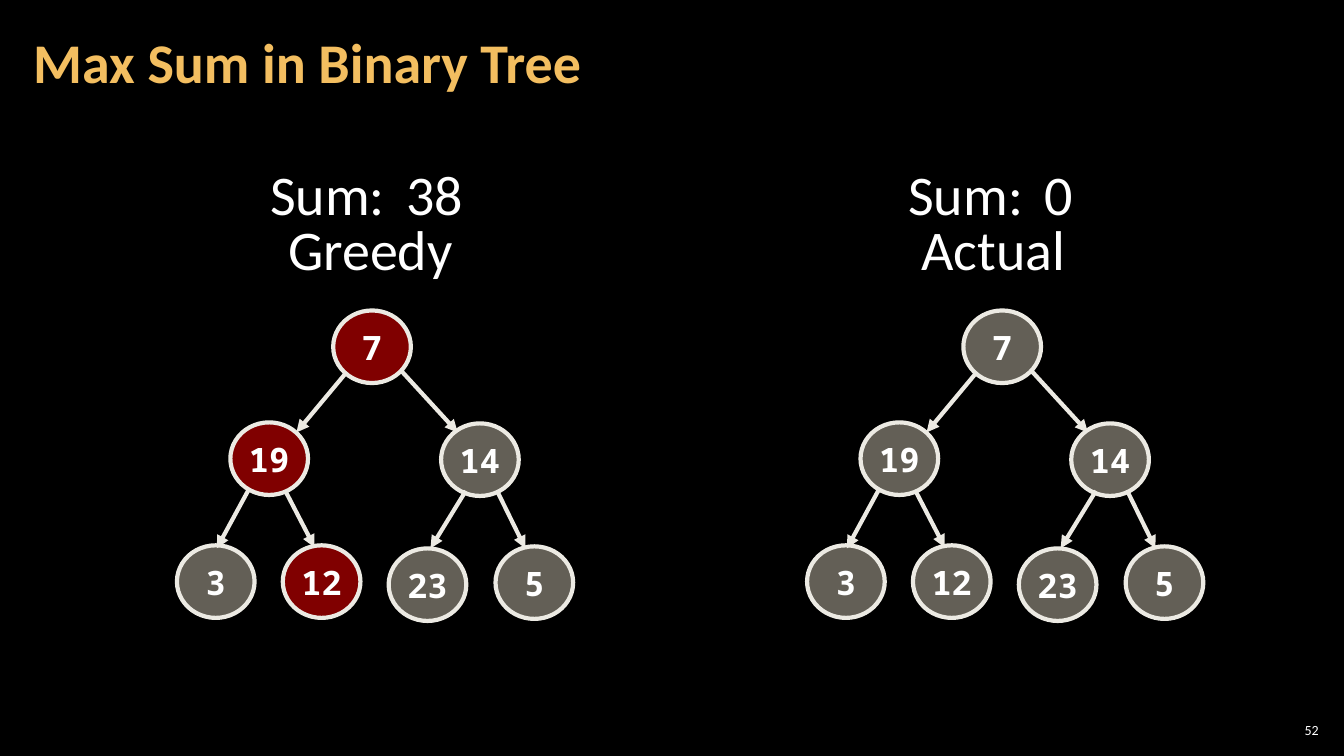
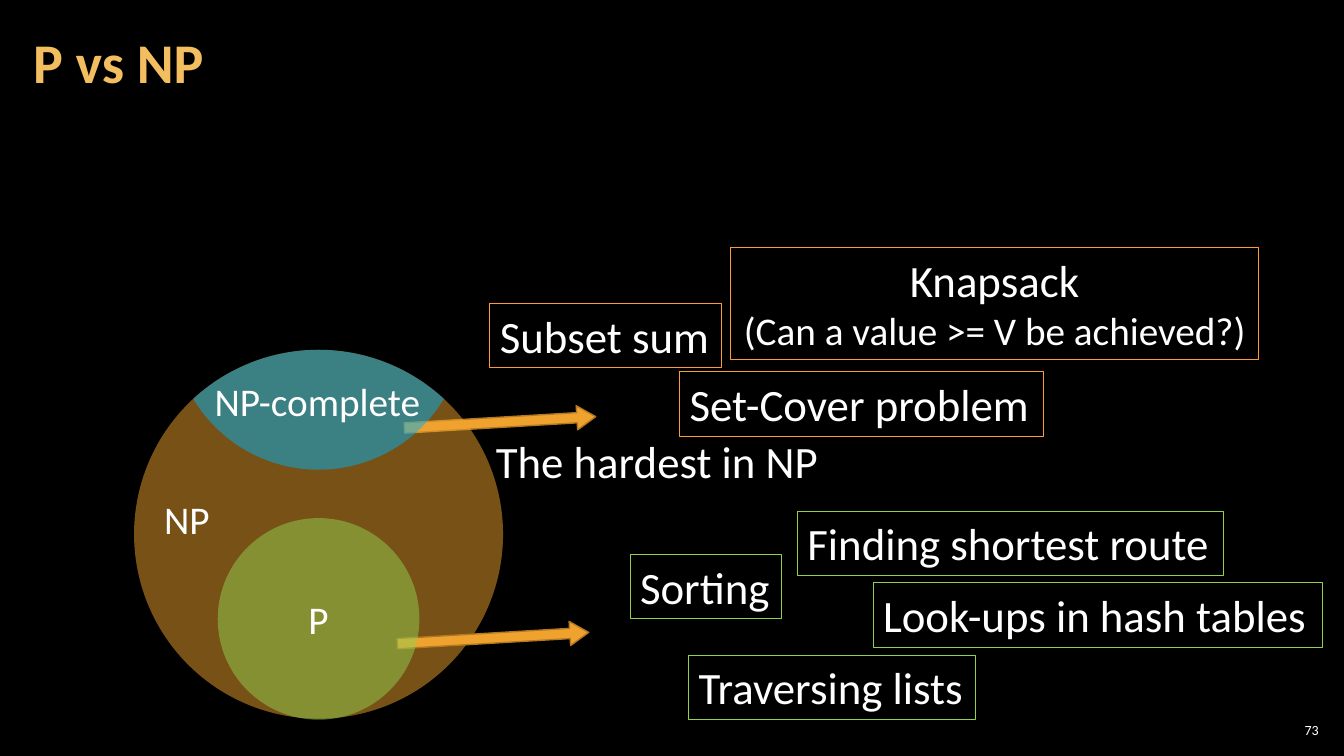
import math

import pptx
import pptx.dml.color
import pptx.enum.shapes
import pptx.enum.text
import pptx.oxml
import pptx.oxml.ns
import pptx.util

Inches = pptx.util.Inches
Pt = pptx.util.Pt
SHAPE = pptx.enum.shapes.MSO_SHAPE
ALIGN = pptx.enum.text.PP_ALIGN
ANCHOR = pptx.enum.text.MSO_ANCHOR
AUTO = pptx.enum.text.MSO_AUTO_SIZE
qn = pptx.oxml.ns.qn

COLORS = {
    "bg": "000000", "text": "FFFFFF", "title": "F3BE60",
    "node": "C7BFAC", "chosen": "FF0000", "edge": "ECEAE3",
    "orange": "F0A22E", "arrow_line": "B27822",
    "green": "92D050", "blue": "00B0F0", "hard": "FF9933",
}


def rgb(name):
    return pptx.dml.color.RGBColor.from_string(COLORS[name])


class Deck:
    """Holds the shared style and the current slide."""

    font = "Calibri"
    mono = "Noto Sans Mono"

    def __init__(self):
        self.prs = pptx.Presentation()
        self.prs.slide_width = Inches(13.33)
        self.prs.slide_height = Inches(7.5)

    def slide(self, title, number):
        self.s = self.prs.slides.add_slide(self.prs.slide_layouts[6])
        self.s.background.fill.solid()
        self.s.background.fill.fore_color.rgb = rgb("bg")
        self.bar_text(title, (0.21, 0.04, 10.47, 1.21), 40, "title", 0.12, bold=True)
        self.bar_text(number, (12.65, 7.14, 0.47, 0.21), 10, "text", 0.04,
                      align=ALIGN.RIGHT)

    def bar_text(self, text, box, size, color, inset, align=ALIGN.LEFT, bold=False):
        """Title or slide number, centred vertically with its own insets."""
        sp = self.s.shapes.add_textbox(*map(Inches, box))
        tf = sp.text_frame
        tf.margin_left = tf.margin_right = Inches(inset)
        tf.margin_top = tf.margin_bottom = Inches(0.04)
        self.set_text(tf, text, [size], color, align, ANCHOR.MIDDLE, bold=bold, wrap=True)
        tf.paragraphs[0].line_spacing = 0.9 if bold else 1.0

    def set_text(self, tf, text, sizes, color="text", align=ALIGN.LEFT,
                 anchor=ANCHOR.TOP, font=None, bold=False, wrap=False):
        tf.text = text
        tf.word_wrap = wrap
        tf.vertical_anchor = anchor
        for p, size in zip(tf.paragraphs, sizes):
            p.alignment = align
            for r in p.runs:
                r.font.name = font or self.font
                r.font.size = Pt(size)
                r.font.bold = bold
                r.font.color.rgb = rgb(color)

    def label(self, text, x, y, w, h, size):
        sp = self.s.shapes.add_textbox(*map(Inches, (x, y, w, h)))
        self.set_text(sp.text_frame, text, [size])
        sp.text_frame.auto_size = AUTO.SHAPE_TO_FIT_TEXT

    def paint(self, sp, fill=None, line=None, width=1, alpha=None):
        sp.shadow.inherit = False
        if fill:
            sp.fill.solid()
            sp.fill.fore_color.rgb = rgb(fill)
        else:
            sp.fill.background()
        if alpha:
            clr = sp._element.spPr.find(qn("a:solidFill"))[0]
            clr.append(clr.makeelement(qn("a:alpha"), {"val": str(alpha * 1000)}))
        if line:
            sp.line.color.rgb = rgb(line)
            sp.line.width = Pt(width)
        else:
            sp.line.fill.background()

    def shape(self, kind, x, y, w, h, **style):
        sp = self.s.shapes.add_shape(kind, *map(Inches, (x, y, w, h)))
        self.paint(sp, **style)
        return sp

    def frame(self, text, x, y, w, color, h=0.64, sizes=(32,), align=ALIGN.LEFT):
        """Outlined box with an example problem."""
        sp = self.shape(SHAPE.RECTANGLE, x, y, w, h, line=color, width=0.75)
        self.set_text(sp.text_frame, text, sizes, align=align)
        sp.text_frame.auto_size = AUTO.SHAPE_TO_FIT_TEXT

    def node(self, value, cx, cy, chosen):
        w, h = 0.77, 0.72
        sp = self.shape(SHAPE.OVAL, cx - w / 2, cy - h / 2, w, h, alpha=50,
                        fill="chosen" if chosen else "node", line="edge", width=3)
        self.set_text(sp.text_frame, value, [24], align=ALIGN.CENTER,
                      anchor=ANCHOR.MIDDLE, font=self.mono, bold=True)

    def edge(self, x1, y1, x2, y2):
        c = self.s.shapes.add_connector(pptx.enum.shapes.MSO_CONNECTOR.STRAIGHT,
                                        *map(Inches, (x1, y1, x2, y2)))
        c.line.color.rgb = rgb("edge")
        c.line.width = Pt(3)
        spPr = c._element.spPr
        ln = spPr.find(qn("a:ln"))
        ln.append(ln.makeelement(qn("a:tailEnd"), {"type": "triangle"}))
        spPr.append(spPr.makeelement(qn("a:effectLst"), {}))

    def block_arrow(self, x, y):
        sp = self.shape(SHAPE.RIGHT_ARROW, x, y, 1.9, 0.24,
                        fill="orange", line="arrow_line")
        sp.adjustments[0], sp.adjustments[1] = 0.42, 0.776
        sp.rotation = 356.6

    def disc(self, cx, cy, radius, fill):
        self.shape(SHAPE.OVAL, cx - radius, cy - radius, 2 * radius, 2 * radius,
                   fill=fill, alpha=50)

    def lens(self, cx, top_y, top_r, low_y, low_r, fill):
        """Overlap of two circles, one centred above the other."""
        d = low_y - top_y
        rise = (low_r ** 2 - top_r ** 2 + d ** 2) / (2 * d)
        half = math.sqrt(low_r ** 2 - rise ** 2)
        steps = 40
        points = []
        for cy, radius, sign in ((low_y, low_r, 1), (top_y, top_r, -1)):
            sweep = math.asin(half / radius)
            for i in range(steps + 1):
                a = sign * sweep * (2 * i / steps - 1)
                points.append((Inches(cx + radius * math.sin(a)),
                               Inches(cy - sign * radius * math.cos(a))))
        fb = self.s.shapes.build_freeform(*points[0])
        fb.add_line_segments(points[1:], close=True)
        self.paint(fb.convert_to_shape(), fill=fill, alpha=50)


# Tree layout: node centres and arrows of the left tree
NODES = [("7", 3.69, 3.44), ("19", 2.67, 4.55), ("14", 4.76, 4.56),
         ("3", 2.14, 5.77), ("12", 3.19, 5.77), ("23", 4.24, 5.8), ("5", 5.3, 5.78)]
EDGES = [(3.44, 3.69, 2.94, 4.29), (3.99, 3.69, 4.54, 4.29),
         (2.46, 4.87, 2.15, 5.44), (2.83, 4.87, 3.12, 5.43),
         (4.62, 4.87, 4.27, 5.44), (4.93, 4.87, 5.21, 5.44)]


def tree_slide(deck):
    deck.slide("Max Sum in Binary Tree", "52")
    trees = [(0, 2.58, "38", 0.77, "Greedy", 2.76, 1.85, {"7", "19", "12"}),
             (6.25, 8.91, "0", 0.49, "Actual", 9.04, 1.64, set())]
    for dx, sum_x, total, total_w, name, name_x, name_w, chosen in trees:
        deck.label("Sum:", sum_x, 1.53, 1.35, 0.77, 40)
        deck.label(total, sum_x + 1.35, 1.53, total_w, 0.77, 40)
        deck.label(name, name_x, 2.08, name_w, 0.77, 40)
        for value, cx, cy in NODES:
            deck.node(value, cx + dx, cy, value in chosen)
        for x1, y1, x2, y2 in EDGES:
            deck.edge(x1 + dx, y1, x2 + dx, y2)


def classes_slide(deck):
    deck.slide("P vs NP", "73")
    cx = 3.16

    # Nested sets and the arrows leading out of them
    deck.block_arrow(4.01, 4.07)
    deck.disc(cx, 5.3, 1.83, "orange")
    deck.block_arrow(3.94, 6.21)
    deck.disc(cx, 6.14, 1, "green")
    deck.lens(cx, 3.21, 1.45, 5.3, 1.83, "blue")

    # Set names
    for text, x, y, w in (("P", 2.96, 5.86, 0.41), ("NP", 1.53, 4.86, 0.66),
                          ("NP-complete", 2.03, 3.69, 2.28)):
        deck.label(text, x, y, w, 0.57, 28)
    deck.label("The hardest in NP", 4.82, 4.25, 3.43, 0.64, 32)

    # Example problems
    for text, x, y, w, color in (
            ("Sorting", 6.25, 5.5, 1.5, "green"),
            ("Traversing lists", 6.83, 6.5, 2.85, "green"),
            ("Finding shortest route", 7.91, 5.07, 4.23, "green"),
            ("Look-ups in hash tables", 8.66, 5.78, 4.46, "green"),
            ("Subset sum", 4.86, 3.01, 2.3, "hard"),
            ("Set-Cover problem", 6.74, 3.69, 3.61, "hard")):
        deck.frame(text, x, y, w, color)
    deck.frame("Knapsack\n(Can a value >= V be achieved?)", 7.25, 2.46, 5.23, "hard",
               h=1.11, sizes=(32, 28), align=ALIGN.CENTER)


def main():
    deck = Deck()
    tree_slide(deck)
    classes_slide(deck)
    deck.prs.save("out.pptx")


if __name__ == "__main__":
    main()
